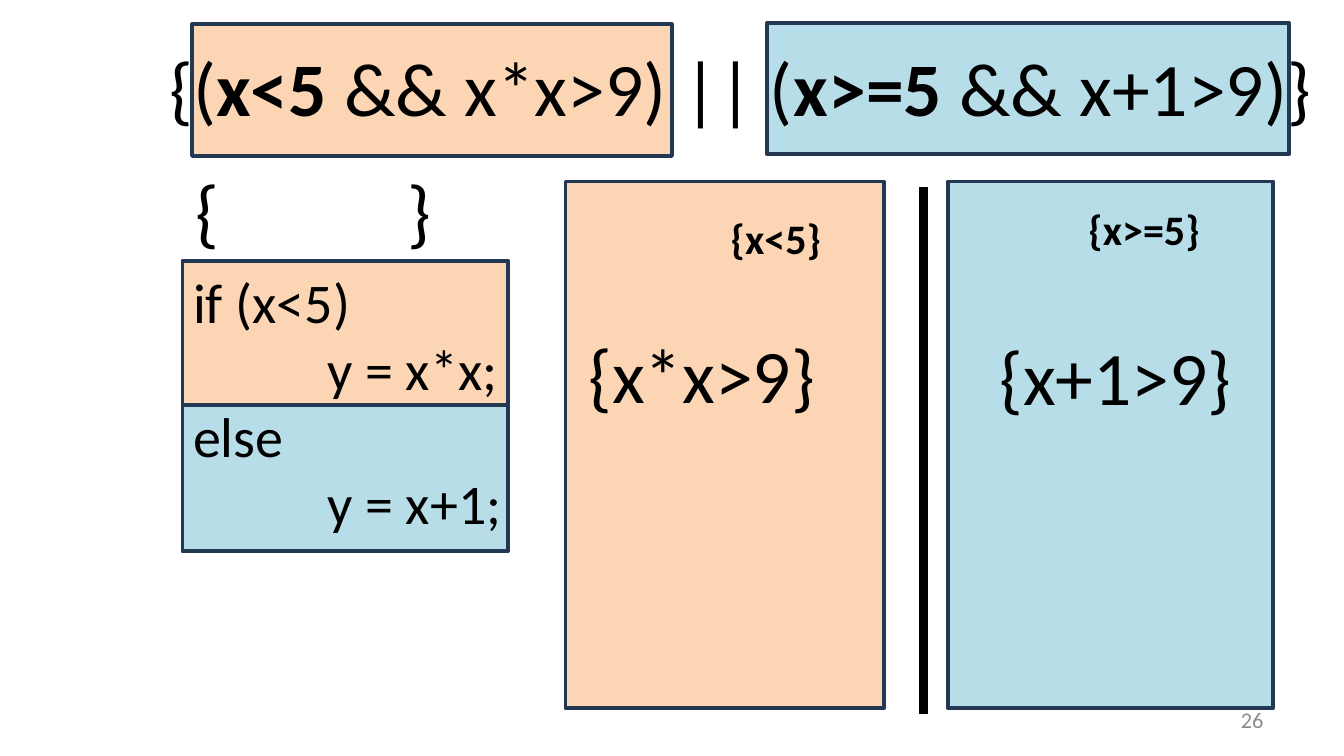
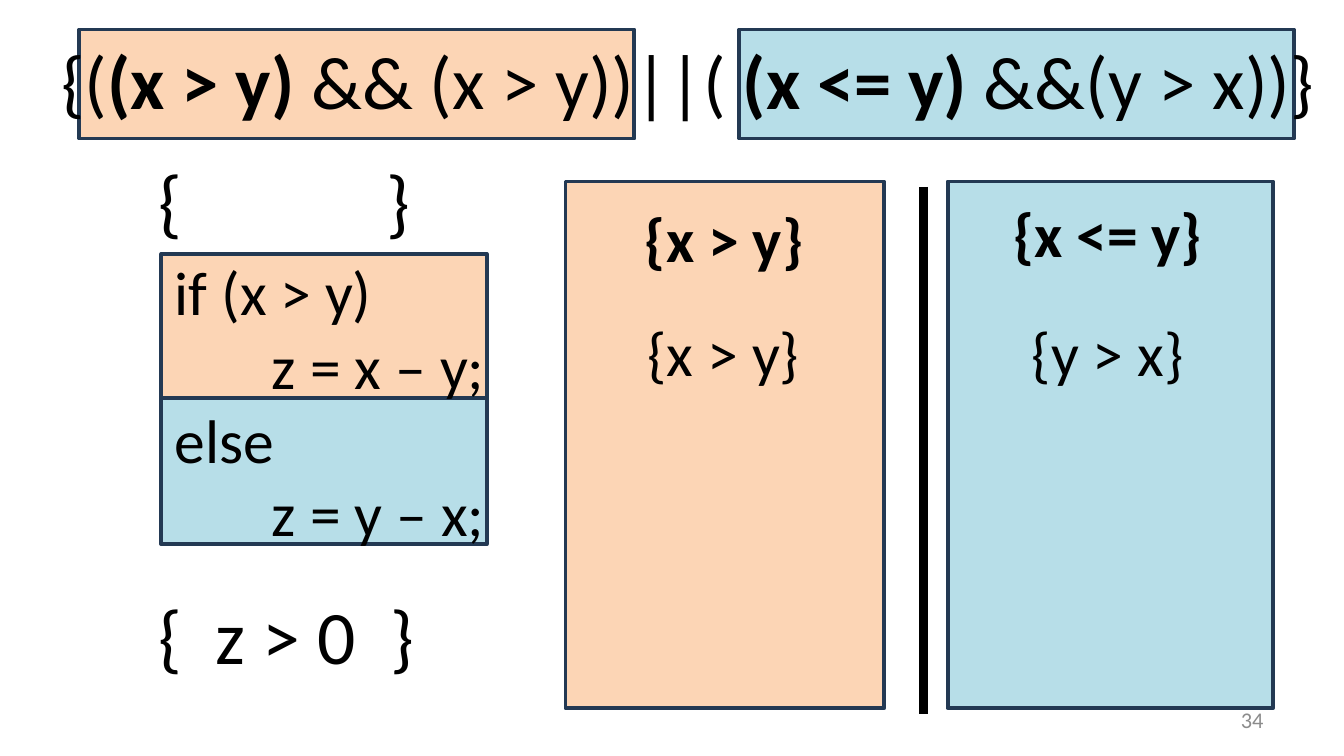
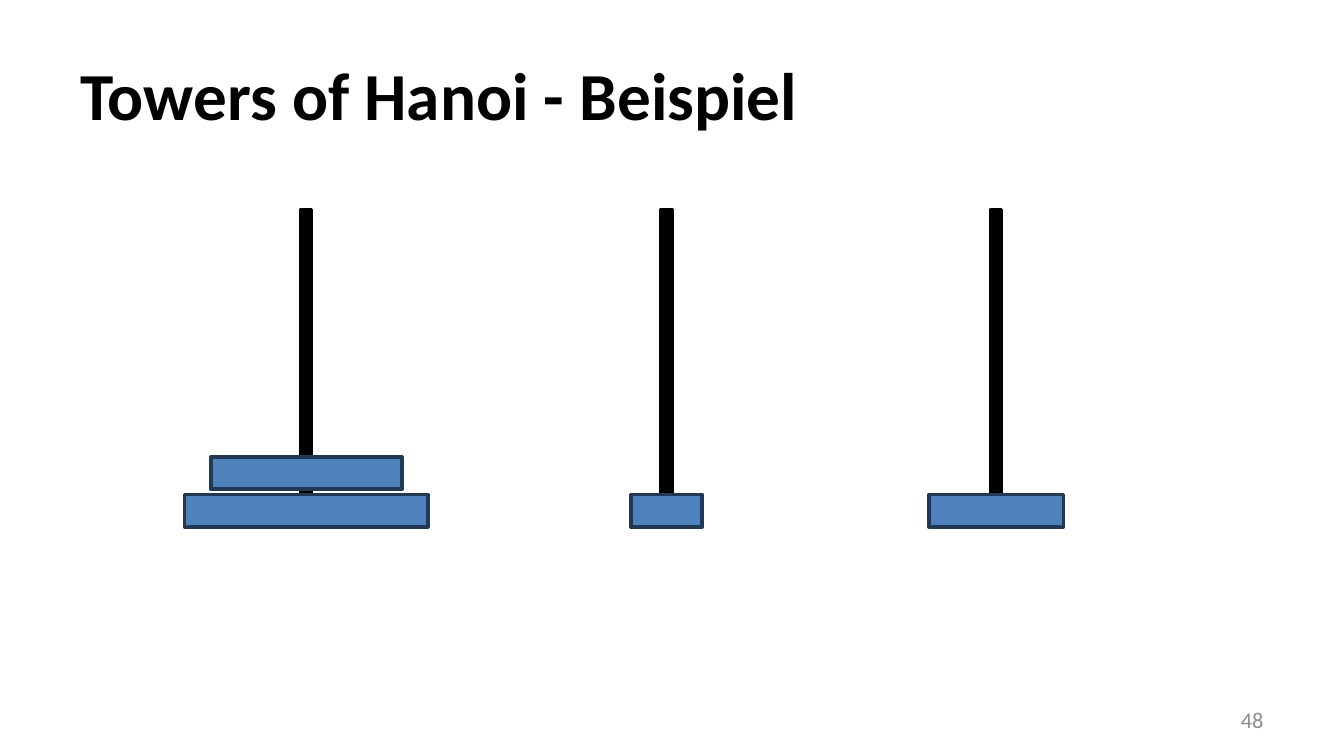
import dataclasses

import lxml.etree
import pptx
import pptx.dml.color
import pptx.enum.shapes
import pptx.enum.text
import pptx.oxml.ns
import pptx.presentation
import pptx.slide
import pptx.util

Cm = pptx.util.Cm
Align = pptx.enum.text.PP_ALIGN
Anchor = pptx.enum.text.MSO_ANCHOR


@dataclasses.dataclass(frozen=True)
class Theme:
    font: str = "Calibri"
    ink: str = "000000"
    muted: str = "8C8C8C"
    outline: str = "233953"
    then_fill: str = "FCD5B5"
    else_fill: str = "B7DEE8"
    disk_fill: str = "4F81BD"
    outline_width: float = 2
    divider_width: float = 4.5
    number_size: float = 12
    guard_size: float = 22.5
    code_size: float = 30
    large_code_size: float = 33
    title_size: float = 36
    wide_formula_size: float = 40
    formula_size: float = 40.5


THEME = Theme()


@dataclasses.dataclass(frozen=True)
class Area:
    left: float
    top: float
    width: float
    height: float

    def lengths(self) -> tuple[pptx.util.Length, ...]:
        return Cm(self.left), Cm(self.top), Cm(self.width), Cm(self.height)


@dataclasses.dataclass(frozen=True)
class Label:
    text: str
    area: Area
    size: float
    bold: bool = False
    wrap: bool = True
    tabs: tuple[float, ...] = ()
    color: str = THEME.ink
    align: Align = Align.LEFT
    anchor: Anchor = Anchor.TOP


@dataclasses.dataclass(frozen=True)
class Formula:
    phrases: tuple[str, ...]
    area: Area
    size: float


@dataclasses.dataclass(frozen=True)
class IfElseSlide:
    number: int
    then_band: Area
    else_band: Area
    code_left: float
    code_top: float
    formula: Formula
    labels: tuple[Label, ...]


@dataclasses.dataclass(frozen=True)
class Peg:
    center: float
    disk_widths: tuple[float, ...]


THEN_PANEL = Area(10.69, 3.43, 6.02, 9.96)
ELSE_PANEL = Area(17.91, 3.43, 6.15, 9.96)
DIVIDER_X, DIVIDER_TOP, DIVIDER_BOTTOM = 17.45, 3.53, 13.49
BRANCH_WIDTH, THEN_HEIGHT, ELSE_HEIGHT = 6.15, 2.72, 2.77
PEG_TOP, PEG_WIDTH, PEG_HEIGHT = 3.96, 0.2, 6
DISK_TOP, DISK_HEIGHT, DISK_STEP = 9.35, 0.61, 0.71

IF_ELSE_SLIDES = (
    IfElseSlide(
        number=26,
        then_band=Area(3.63, 0.46, 9.07, 2.49),
        else_band=Area(14.5, 0.43, 9.86, 2.49),
        code_left=3.45,
        code_top=4.93,
        formula=Formula(
            ("{(", "x<5 ", "&& x*x>9) || (", "x>=5 ", "&& x+1>9)}"),
            Area(2.95, 0.64, 22.15, 1.98), THEME.formula_size,
        ),
        labels=(
            Label("{\t}", Area(3.45, 2.97, 6.43, 1.98), THEME.formula_size, tabs=(4,)),
            Label("if (x<5)\n\ty = x*x;\nelse\n\ty = x+1;",
                  Area(3.4, 4.93, 6.58, 6.68), THEME.code_size, tabs=(2.54,)),
            Label("{x<5}", Area(13.56, 3.89, 2.24, 1.22), THEME.guard_size, bold=True, wrap=False),
            Label("{x>=5}", Area(20.32, 3.73, 2.64, 1.22), THEME.guard_size, bold=True, wrap=False),
            Label("{x*x>9}", Area(10.87, 6.07, 5.46, 1.98), THEME.formula_size),
            Label("{x+1>9}", Area(18.64, 6.12, 5.46, 1.98), THEME.formula_size),
        ),
    ),
    IfElseSlide(
        number=34,
        then_band=Area(1.5, 0.56, 10.49, 2.06),
        else_band=Area(13.97, 0.56, 10.49, 2.06),
        code_left=3.05,
        code_top=4.8,
        formula=Formula(
            ("{(", "(x > y) ", "&& (x > y))||( ", "(x <= y) ", "&&(y > x))}"),
            Area(0.91, 0.53, 24.33, 1.96), THEME.wide_formula_size,
        ),
        labels=(
            Label("{\t}", Area(2.74, 2.79, 6.43, 1.98), THEME.formula_size, tabs=(4.32,)),
            Label("{\tz > 0\t}", Area(2.74, 11, 6.43, 1.98), THEME.formula_size, tabs=(1.09, 4.39)),
            Label("if (x > y)\n       z = x – y;\nelse\n       z = y – x;",
                  Area(3.05, 4.67, 12.7, 6), THEME.large_code_size),
            Label("{x > y}", Area(11.94, 3.68, 3.53, 1.68), THEME.large_code_size, bold=True, wrap=False),
            Label("{x <= y}", Area(18.9, 3.58, 4.11, 1.68), THEME.large_code_size, bold=True, wrap=False),
            Label("{x > y}", Area(11.99, 5.82, 3.4, 1.68), THEME.large_code_size, wrap=False),
            Label("{y > x}", Area(19.25, 5.82, 3.4, 1.68), THEME.large_code_size, wrap=False),
        ),
    ),
)

PEGS = (Peg(5.79, (4.6, 3.61)), Peg(12.6, (1.35,)), Peg(18.83, (2.54,)))


def rgb(value: str) -> pptx.dml.color.RGBColor:
    return pptx.dml.color.RGBColor.from_string(value)


def add_page(deck: pptx.presentation.Presentation) -> pptx.slide.Slide:
    return deck.slides.add_slide(deck.slide_layouts[6])


def add_block(page: pptx.slide.Slide, area: Area, fill: str, outline: str = THEME.outline) -> None:
    block = page.shapes.add_shape(pptx.enum.shapes.MSO_SHAPE.RECTANGLE, *area.lengths())
    block.shadow.inherit = False
    block.fill.solid()
    block.fill.fore_color.rgb = rgb(fill)
    block.line.color.rgb = rgb(outline)
    block.line.width = pptx.util.Pt(THEME.outline_width)


def add_divider(page: pptx.slide.Slide) -> None:
    divider = page.shapes.add_connector(
        pptx.enum.shapes.MSO_CONNECTOR.STRAIGHT,
        Cm(DIVIDER_X), Cm(DIVIDER_TOP), Cm(DIVIDER_X), Cm(DIVIDER_BOTTOM),
    )
    divider.line.color.rgb = rgb(THEME.ink)
    divider.line.width = pptx.util.Pt(THEME.divider_width)
    lxml.etree.SubElement(divider._element.spPr, pptx.oxml.ns.qn("a:effectLst"))


def style_span(span, size: float, color: str, bold: bool) -> None:
    span.font.name = THEME.font
    span.font.size = pptx.util.Pt(size)
    span.font.color.rgb = rgb(color)
    span.font.bold = bold


def add_tabs(para, positions: tuple[float, ...]) -> None:
    tab_list = lxml.etree.SubElement(para._p.get_or_add_pPr(), pptx.oxml.ns.qn("a:tabLst"))
    for position in positions:
        lxml.etree.SubElement(tab_list, pptx.oxml.ns.qn("a:tab"), pos=str(int(Cm(position))), algn="l")


def add_label(page: pptx.slide.Slide, label: Label) -> None:
    frame = page.shapes.add_textbox(*label.area.lengths()).text_frame
    frame.word_wrap = label.wrap
    frame.vertical_anchor = label.anchor
    frame.text = label.text
    for para in frame.paragraphs:
        para.alignment = label.align
        if label.tabs:
            add_tabs(para, label.tabs)
        for span in para.runs:
            style_span(span, label.size, label.color, label.bold)


def add_formula(page: pptx.slide.Slide, formula: Formula) -> None:
    frame = page.shapes.add_textbox(*formula.area.lengths()).text_frame
    frame.word_wrap = False
    for index, phrase in enumerate(formula.phrases):
        span = frame.paragraphs[0].add_run()
        span.text = phrase
        style_span(span, formula.size, THEME.ink, bold=index % 2 == 1)


def add_number(page: pptx.slide.Slide, number: int) -> None:
    add_label(page, Label(
        str(number), Area(18.21, 13.23, 5.92, 0.76), THEME.number_size,
        color=THEME.muted, align=Align.RIGHT, anchor=Anchor.MIDDLE,
    ))


def build_if_else(deck: pptx.presentation.Presentation, content: IfElseSlide) -> None:
    page = add_page(deck)
    then_code = Area(content.code_left, content.code_top, BRANCH_WIDTH, THEN_HEIGHT)
    else_code = Area(content.code_left, content.code_top + THEN_HEIGHT, BRANCH_WIDTH, ELSE_HEIGHT)
    for area in (then_code, THEN_PANEL, content.then_band):
        add_block(page, area, THEME.then_fill)
    for area in (else_code, ELSE_PANEL, content.else_band):
        add_block(page, area, THEME.else_fill)
    add_divider(page)
    for label in content.labels:
        add_label(page, label)
    add_formula(page, content.formula)
    add_number(page, content.number)


def build_hanoi(deck: pptx.presentation.Presentation) -> None:
    page = add_page(deck)
    add_label(page, Label(
        "Towers of Hanoi - Beispiel", Area(1.27, 0.58, 22.86, 2.39),
        THEME.title_size, bold=True, anchor=Anchor.MIDDLE,
    ))
    for peg in PEGS:
        pole = Area(peg.center - PEG_WIDTH / 2, PEG_TOP, PEG_WIDTH, PEG_HEIGHT)
        add_block(page, pole, THEME.ink, THEME.ink)
        for level, width in enumerate(peg.disk_widths):
            disk = Area(peg.center - width / 2, DISK_TOP - level * DISK_STEP, width, DISK_HEIGHT)
            add_block(page, disk, THEME.disk_fill)
    add_number(page, 48)


def main() -> None:
    deck = pptx.Presentation()
    deck.slide_width = Cm(25.4)
    deck.slide_height = Cm(14.29)
    for content in IF_ELSE_SLIDES:
        build_if_else(deck, content)
    build_hanoi(deck)
    deck.save("out.pptx")


if __name__ == "__main__":
    main()
